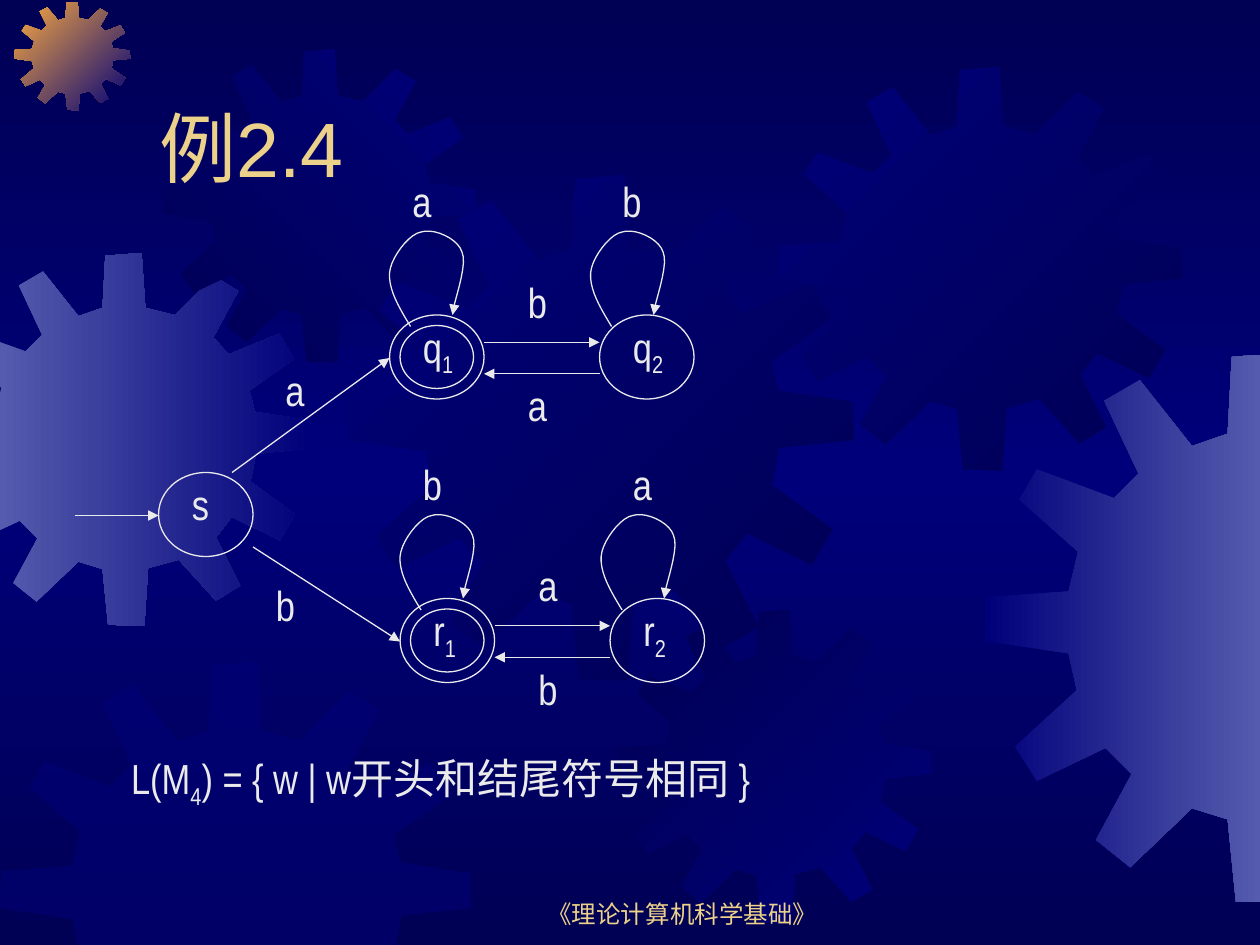
"""Build the slide of Example 2.4: a five-state automaton over a gear backdrop."""
import copy

import lxml.etree
import pptx
import pptx.dml.color
import pptx.enum.shapes
import pptx.enum.text
import pptx.oxml.ns
import pptx.util

HUE = {"navy": "000054", "blue": "00007A", "mist": "555BAD",
       "amber": "FCAB40", "gold": "EBD189", "pale": "EAEAEA"}
RGB = {name: pptx.dml.color.RGBColor.from_string(code) for name, code in HUE.items()}
COLS, ROWS = 120, 90
CELL = pptx.util.Inches(10) / COLS
qn = pptx.oxml.ns.qn
anchor = pptx.enum.text.MSO_ANCHOR
align = pptx.enum.text.PP_ALIGN
oval = pptx.enum.shapes.MSO_SHAPE.OVAL
straight = pptx.enum.shapes.MSO_CONNECTOR.STRAIGHT

deck = pptx.Presentation()
deck.slide_width = round(COLS * CELL)
deck.slide_height = round(ROWS * CELL)
slide = deck.slides.add_slide(deck.slide_layouts[5])
shapes = slide.shapes


def write(text, x, y, w=6, h=6, box=None, size=24, font="Arial Narrow", hue="pale",
          side=align.LEFT, hold=anchor.TOP, gap=15):
    """Write text into a box; every second part between underscores is a subscript."""
    box = box or shapes.add_textbox(0, 0, 0, 0)
    box.left, box.top, box.width, box.height = [round(v * CELL) for v in (x, y, w, h)]
    frame = box.text_frame
    frame.word_wrap = True
    frame.vertical_anchor = hold
    para = frame.paragraphs[0]
    para.alignment = side
    para.space_before = pptx.util.Pt(gap)
    for rank, part in enumerate(text.split("_")):
        run = para.add_run()
        run.text = part
        run.font.size = pptx.util.Pt(size)
        run.font.name = font
        run.font.color.rgb = RGB[hue]
        if rank % 2:
            run.font._element.set("baseline", "-25000")


def ink(shape, tip=None):
    """Give a shape the thin pale line, with an arrowhead if tip names an end."""
    shape.line.color.rgb = RGB["pale"]
    shape.line.width = pptx.util.Pt(0.75)
    if tip:
        lxml.etree.SubElement(shape.line._get_or_add_ln(), qn(f"a:{tip}"), type="triangle")
    lxml.etree.SubElement(shape.element.spPr, qn("a:effectLst"))


back = slide.background.fill
back.gradient()
back.gradient_angle = 270
for stop in back.gradient_stops:
    stop.color.rgb = RGB["navy"]
stops = slide.element.xpath(".//a:gsLst")[0]
mid = copy.deepcopy(stops[0])
mid.set("pos", "50000")
mid[0].set("val", HUE["blue"])
stops.insert(1, mid)

SPAN = 401
TEETH = [
    (255, 67), (223, 59), (219, 0), (180, 3), (177, 59), (151, 68), (113, 20), (87, 35),
    (112, 88), (94, 106), (38, 85), (25, 107), (68, 145), (61, 174), (1, 178), (0, 210),
    (61, 219), (67, 246), (22, 287), (38, 312), (88, 288), (107, 307), (81, 355), (106, 375),
    (151, 332), (177, 340), (183, 400), (222, 401), (226, 339), (259, 330), (299, 374),
    (325, 358), (299, 306), (316, 284), (368, 309), (384, 281), (336, 246), (342, 216),
    (401, 210), (400, 180), (341, 171), (335, 148), (383, 114), (367, 87), (313, 109),
    (296, 91), (323, 41), (297, 25)]
GEARS = [
    (-5.9, 24.1, 35.5, 35.5, "mist", "blue", 0),
    (1.4, 0.2, 11, 10.3, "amber", "blue", 45),
    (15.6, 4.7, 29.8, 29.8, "navy", "blue", 315),
    (33.2, 16.7, 48.1, 48.1, "blue", "navy", 45),
    (0, 63, 44.9, 44.9, "blue", None, 0),
    (58.9, 58.1, 29.8, 29.8, "navy", "blue", 45),
    (74.2, 6.4, 38.4, 38.4, "blue", "navy", 45),
    (93.8, 33.6, 52.4, 52.4, "blue", "mist", 0)]
for x, y, w, h, first, last, turn in GEARS:
    rim = [(x + w * u / SPAN, y + h * v / SPAN) for u, v in TEETH]
    for axis, edge, sign in ((0, 0, 1), (0, COLS, -1), (1, ROWS, -1)):
        kept = []
        for a, b in zip(rim, rim[1:] + rim[:1]):
            da, db = sign * (a[axis] - edge), sign * (b[axis] - edge)
            if da >= 0:
                kept.append(a)
            if da * db < 0:
                t = da / (da - db)
                kept.append((a[0] + t * (b[0] - a[0]), a[1] + t * (b[1] - a[1])))
        rim = kept
    rim = [(u * CELL, v * CELL) for u, v in rim]
    pen = shapes.build_freeform(*rim[0])
    pen.add_line_segments(rim[1:])
    gear = pen.convert_to_shape()
    gear.shadow.inherit = False
    gear.line.fill.background()
    if last:
        gear.fill.gradient()
        gear.fill.gradient_angle = -turn % 360
        for stop, hue in zip(gear.fill.gradient_stops, (first, last)):
            stop.color.rgb = RGB[hue]
    else:
        gear.fill.solid()
        gear.fill.fore_color.rgb = RGB[first]
        tint = gear.element.xpath("./p:spPr/a:solidFill/a:srgbClr")[0]
        lxml.etree.SubElement(tint, qn("a:alpha"), val="50000")

title = shapes.title
shapes._spTree.append(title.element)
write("例2.4", 14, 4, 102, 15, box=title, size=44, font="Arial", hue="gold",
      hold=anchor.BOTTOM, gap=0)
write("《理论计算机科学基础》", 46, 83, 38, 6, size=14, font="Arial", hue="gold",
      side=align.CENTER, hold=anchor.BOTTOM, gap=0)

rings = [(15.1, 45, 9, 8)]
lines = [(7.1, 49.1, 15.1, 49.1, "tailEnd"), (22.1, 45, 37.1, 34.1, "tailEnd"),
         (24.1, 52.1, 38.1, 61.1, "tailEnd")]
marks = [("s", 17.1, 45), ("a", 26, 34.1), ("b", 25.1, 54.6)]
loops = []
for name, same, other, dx, dy in (("q", "a", "b", 0, 0), ("r", "b", "a", 1, 27)):
    rings += [(37.1 + dx, 30 + dy, 9, 8), (57.1 + dx, 30 + dy, 9, 8),
              (38.1 + dx, 31 + dy, 7, 6)]
    for y, tip in ((32.6, "tailEnd"), (35.6, "headEnd")):
        lines.append((46.1 + dx, y + dy, 57.1 + dx, y + dy, tip))
    marks += [(f"{name}_1", 39.1 + dx, 30 + dy), (f"{name}_2", 59.1 + dx, 30 + dy),
              (same, 38.1 + dx, 16.1 + dy), (other, 58.1 + dx, 16.1 + dy),
              (other, 49.1 + dx, 25.7 + dy), (same, 49.1 + dx, 35.6 + dy)]
    loops += [(dx, dy), (dx + 19.15, dy)]

for x, y, w, h in rings:
    ring = shapes.add_shape(oval, *[round(v * CELL) for v in (x, y, w, h)])
    ring.fill.background()
    ink(ring)
for *ends, tip in lines:
    ink(shapes.add_connector(straight, *[round(v * CELL) for v in ends]), tip)

BEND = [(39.1, 31.1), (38, 29.3), (37, 27.6), (37.1, 26), (37.2, 24.6), (38.9, 22.3),
        (40.1, 22.1), (41.3, 21.7), (43.6, 22.7), (44, 24), (44.6, 25.3), (43.1, 29),
        (43.1, 30)]
STEPS = 10
for dx, dy in loops:
    curve = []
    for start in range(0, len(BEND) - 1, 3):
        for step in range(1, STEPS + 1):
            t = step / STEPS
            share = ((1 - t) ** 3, 3 * t * (1 - t) ** 2, 3 * t * t * (1 - t), t ** 3)
            knots = BEND[start:start + 4]
            curve.append(tuple(
                (shift + sum(s * knot[axis] for s, knot in zip(share, knots))) * CELL
                for axis, shift in enumerate((dx, dy))))
    pen = shapes.build_freeform((BEND[0][0] + dx) * CELL, (BEND[0][1] + dy) * CELL)
    pen.add_line_segments(curve, close=False)
    loop = pen.convert_to_shape()
    loop.fill.background()
    ink(loop, "tailEnd")

for text, x, y in marks:
    write(text, x, y)
write("L(M_4_) = { w | w开头和结尾符号相同 }", 11.3, 71.1, 62, 11.5)

deck.save("out.pptx")
